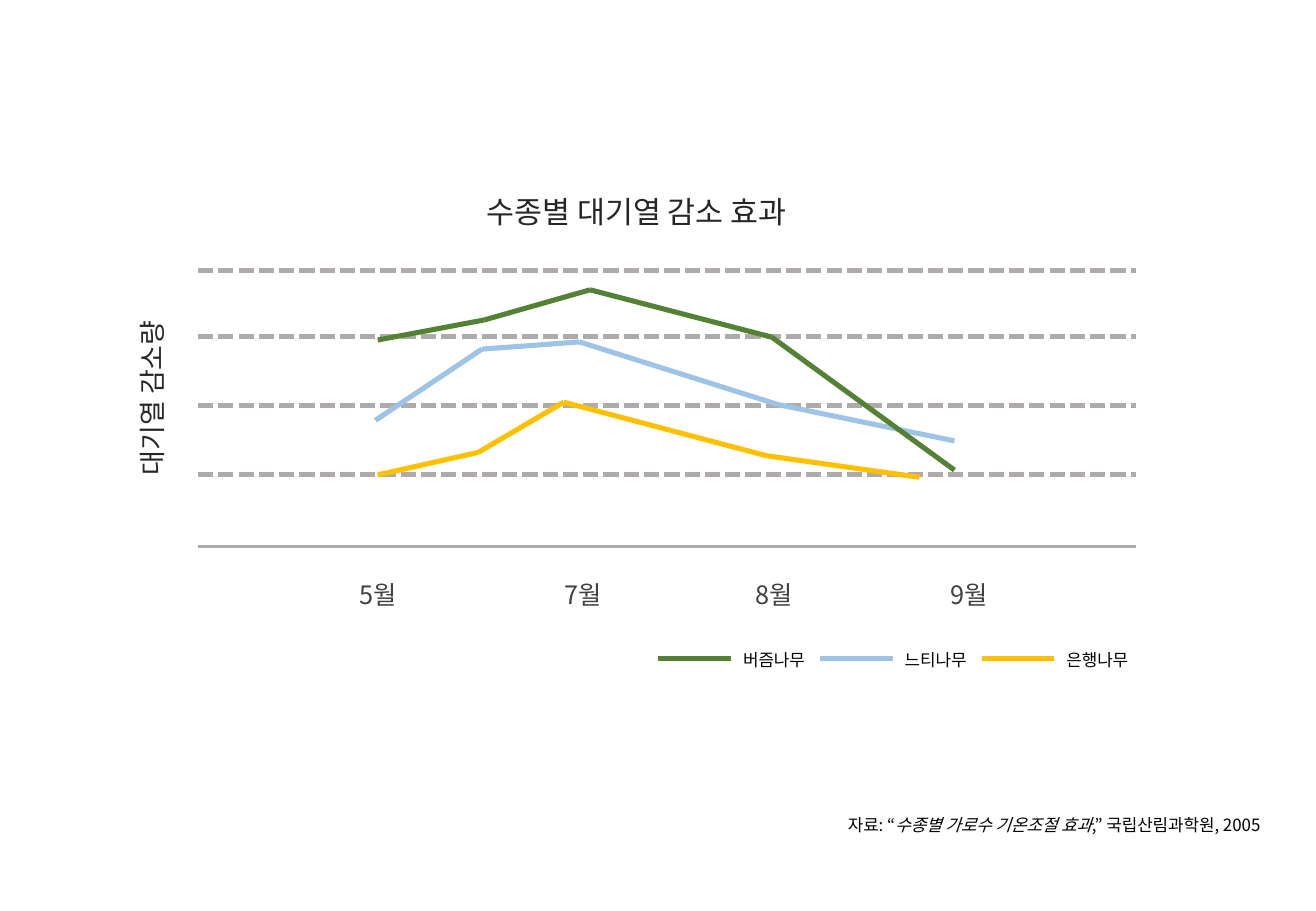
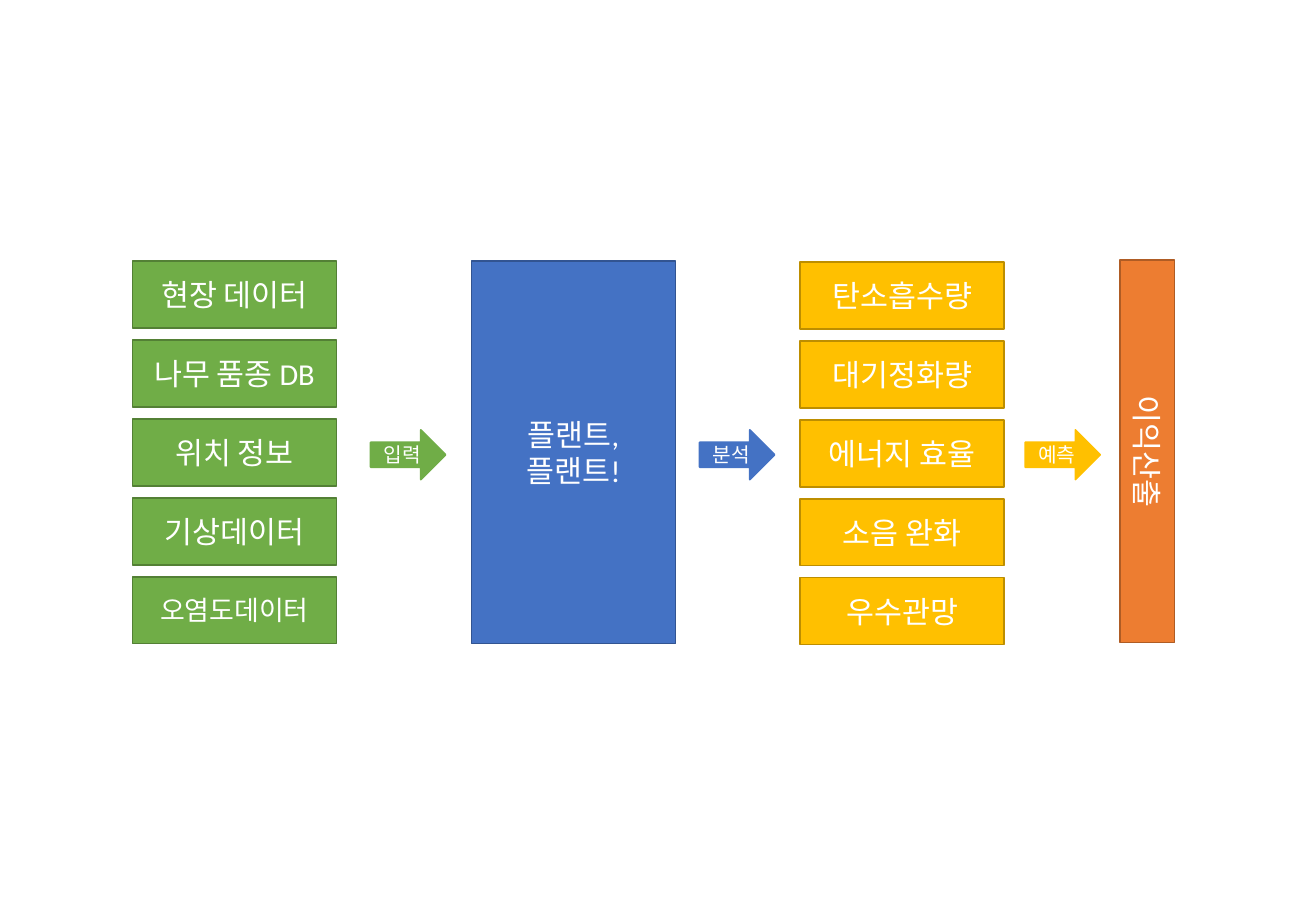
from dataclasses import dataclass
from itertools import pairwise

from lxml.etree import SubElement
from pptx import Presentation
from pptx.dml.color import RGBColor
from pptx.enum.dml import MSO_LINE
from pptx.enum.shapes import MSO_CONNECTOR, MSO_SHAPE
from pptx.enum.text import MSO_ANCHOR, MSO_AUTO_SIZE, PP_ALIGN
from pptx.oxml.ns import qn
from pptx.util import Cm, Pt


@dataclass(frozen=True)
class Theme:
    black: str = "000000"
    white: str = "FFFFFF"
    ink: str = "262626"
    month: str = "404040"
    grid: str = "AFABAB"
    plane_tree: str = "548235"
    zelkova: str = "9DC3E6"
    ginkgo: str = "FFC000"
    # (fill, outline) of each stage
    data: tuple = ("70AD47", "538035")
    platform: tuple = ("4472C4", "325491")
    effect: tuple = ("FFC000", "BD8E00")
    profit: tuple = ("ED7D31", "AF5C24")
    font: str = "Noto Sans CJK KR"
    box_font: str = "Calibri"
    title: int = 18
    box: int = 18
    axis: int = 16
    tight: int = 16
    tick: int = 15
    arrow: int = 12
    small: int = 10
    thick: float = 3
    axis_line: float = 1.5
    outline: float = 1


T = Theme()


class Deck:
    def __init__(self):
        self.prs = Presentation()
        self.prs.slide_width, self.prs.slide_height = Cm(27.52), Cm(19.05)
        self.s = None

    def new_slide(self):
        self.s = self.prs.slides.add_slide(self.prs.slide_layouts[6])

    def run(self, p, text, size, color, font=T.font, italic=False):
        r = p.add_run()
        r.text = text
        r.font.size, r.font.name = Pt(size), font
        r.font.color.rgb = RGBColor.from_string(color)
        if italic:
            r.font.italic = True
        SubElement(r.font._element, qn("a:ea")).set("typeface", T.font)

    def text(self, x, y, w, h, parts, size, color, align=None,
             spacing=None, wrap=True, rotation=0):
        """Add a one-paragraph text box; parts is a string or (text, italic) pairs."""
        sp = self.s.shapes.add_textbox(Cm(x), Cm(y), Cm(w), Cm(h))
        sp.rotation = rotation
        tf = sp.text_frame
        tf.word_wrap = wrap
        tf.auto_size = MSO_AUTO_SIZE.SHAPE_TO_FIT_TEXT
        p = tf.paragraphs[0]
        p.alignment, p.line_spacing = align, spacing
        if isinstance(parts, str):
            parts = [(parts, False)]
        for part, italic in parts:
            self.run(p, part, size, color, italic=italic)

    def shape(self, kind, x, y, w, h, fill, line):
        sp = self.s.shapes.add_shape(kind, Cm(x), Cm(y), Cm(w), Cm(h))
        sp.shadow.inherit = False
        sp.fill.solid()
        sp.fill.fore_color.rgb = RGBColor.from_string(fill)
        sp.line.color.rgb = RGBColor.from_string(line)
        sp.line.width = Pt(T.outline)
        return sp

    def box(self, x, y, w, h, lines, colors, size=T.box, rotation=0):
        sp = self.shape(MSO_SHAPE.RECTANGLE, x, y, w, h, *colors)
        sp.rotation = rotation
        tf = sp.text_frame
        tf.word_wrap = True
        tf.vertical_anchor = MSO_ANCHOR.MIDDLE
        for i, line in enumerate(lines):
            p = tf.add_paragraph() if i else tf.paragraphs[0]
            p.alignment = PP_ALIGN.CENTER
            self.run(p, line, size, T.white, T.box_font)

    def stack(self, x, y, labels, colors):
        for i, (label, size) in enumerate(labels):
            self.box(x, y + i * 1.65, 4.27, 1.4, [label], colors, size)

    def arrow(self, x, label, color):
        self.shape(MSO_SHAPE.RIGHT_ARROW, x, 8.99, 1.57, 1.04, color, color)
        self.text(x + 0.02, 9.12, 1.32, 0.76, label, T.arrow, T.white)

    def line(self, start, end, color, width=T.thick, dash=None):
        c = self.s.shapes.add_connector(
            MSO_CONNECTOR.STRAIGHT, *map(Cm, start), *map(Cm, end))
        c.line.color.rgb = RGBColor.from_string(color)
        c.line.width = Pt(width)
        if dash:
            c.line.dash_style = dash
        SubElement(c._element.spPr, qn("a:effectLst"))

    def polyline(self, points, color):
        for start, end in pairwise(points):
            self.line(start, end, color)


def heat_slide(d):
    d.new_slide()
    d.text(9.93, 3.91, 15.57, 1.02, "수종별 대기열 감소 효과", T.title, T.ink)
    d.text(0.91, 7.44, 4.55, 0.94, "대기열 감소량", T.axis, T.ink, rotation=270)

    left, right = 4.14, 23.75
    for y in (5.66, 7.04, 8.48, 9.93):
        d.line((left, y), (right, y), T.grid, dash=MSO_LINE.SQUARE_DOT)
    d.line((left, 11.43), (right, 11.43), T.grid, T.axis_line)

    for center, month in ((7.9, "5월"), (12.19, "7월"), (16.19, "8월"), (20.27, "9월")):
        d.text(center - 2.85, 11.68, 5.7, 1.09, month, T.tick, T.month,
               PP_ALIGN.CENTER, 1.5)

    d.polyline([(7.85, 8.79), (10.08, 7.3), (12.12, 7.15), (16.27, 8.46),
                (19.96, 9.22)], T.zelkova)
    d.polyline([(7.9, 9.93), (10, 9.46), (11.79, 8.41), (16.03, 9.53),
                (19.23, 9.98)], T.ginkgo)
    d.polyline([(7.9, 7.11), (10.13, 6.69), (12.34, 6.06), (16.14, 7.05),
                (19.96, 9.83)], T.plane_tree)

    legend = (("버즘나무", T.plane_tree), ("느티나무", T.zelkova), ("은행나무", T.ginkgo))
    for i, (tree, color) in enumerate(legend):
        x = 13.77 + i * 3.38
        d.line((x, 13.77), (x + 1.52, 13.77), color)
        d.text(x + 1.52, 13.47, 1.83, 0.69, tree, T.small, T.black, wrap=False)

    d.text(17.48, 16.92, 9.22, 0.69,
           [("자료: “", False), ("수종별 가로수 기온조절 효과", True),
            (",” 국립산림과학원, 2005", False)],
           T.small, T.black, wrap=False)


def process_slide(d):
    d.new_slide()
    top, height = 5.46, 8
    d.stack(2.77, top, [("현장 데이터", T.box), ("나무 품종 DB", T.box),
                        ("위치 정보", T.box), ("기상데이터", T.box),
                        ("오염도데이터", T.tight)], T.data)
    d.box(9.86, top, 4.27, height, ["플랜트,", "플랜트!"], T.platform)
    effects = ("탄소흡수량", "대기정화량", "에너지 효율", "소음 완화", "우수관망")
    d.stack(16.73, top + 0.02, [(e, T.box) for e in effects], T.effect)
    d.box(19.99, 8.87, height, 1.14, ["이익산출"], T.profit, rotation=90)

    d.arrow(7.75, "입력", T.data[0])
    d.arrow(14.63, "분석", T.platform[0])
    d.arrow(21.44, "예측", T.effect[0])


def main():
    d = Deck()
    heat_slide(d)
    process_slide(d)
    d.prs.save("out.pptx")


if __name__ == "__main__":
    main()
